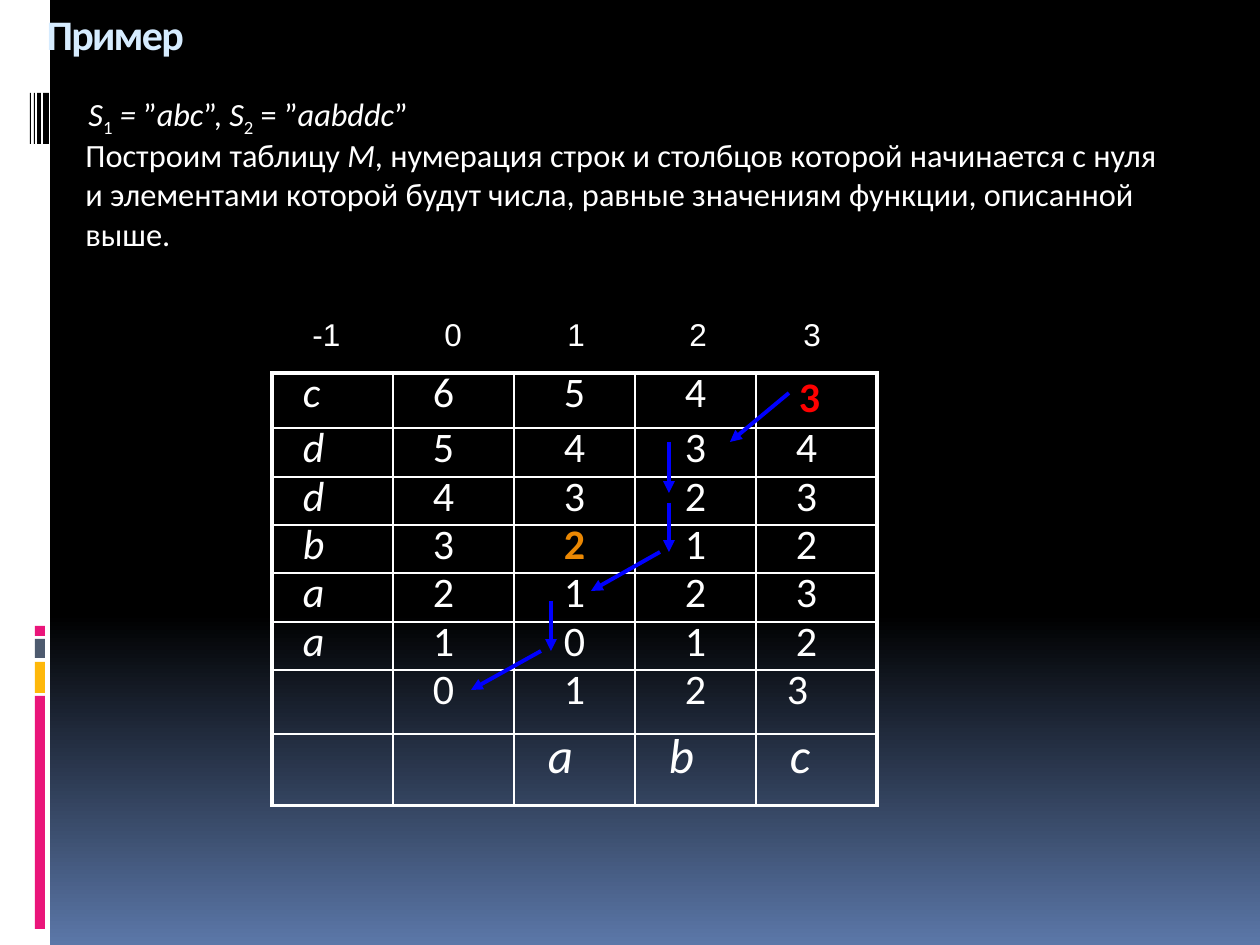
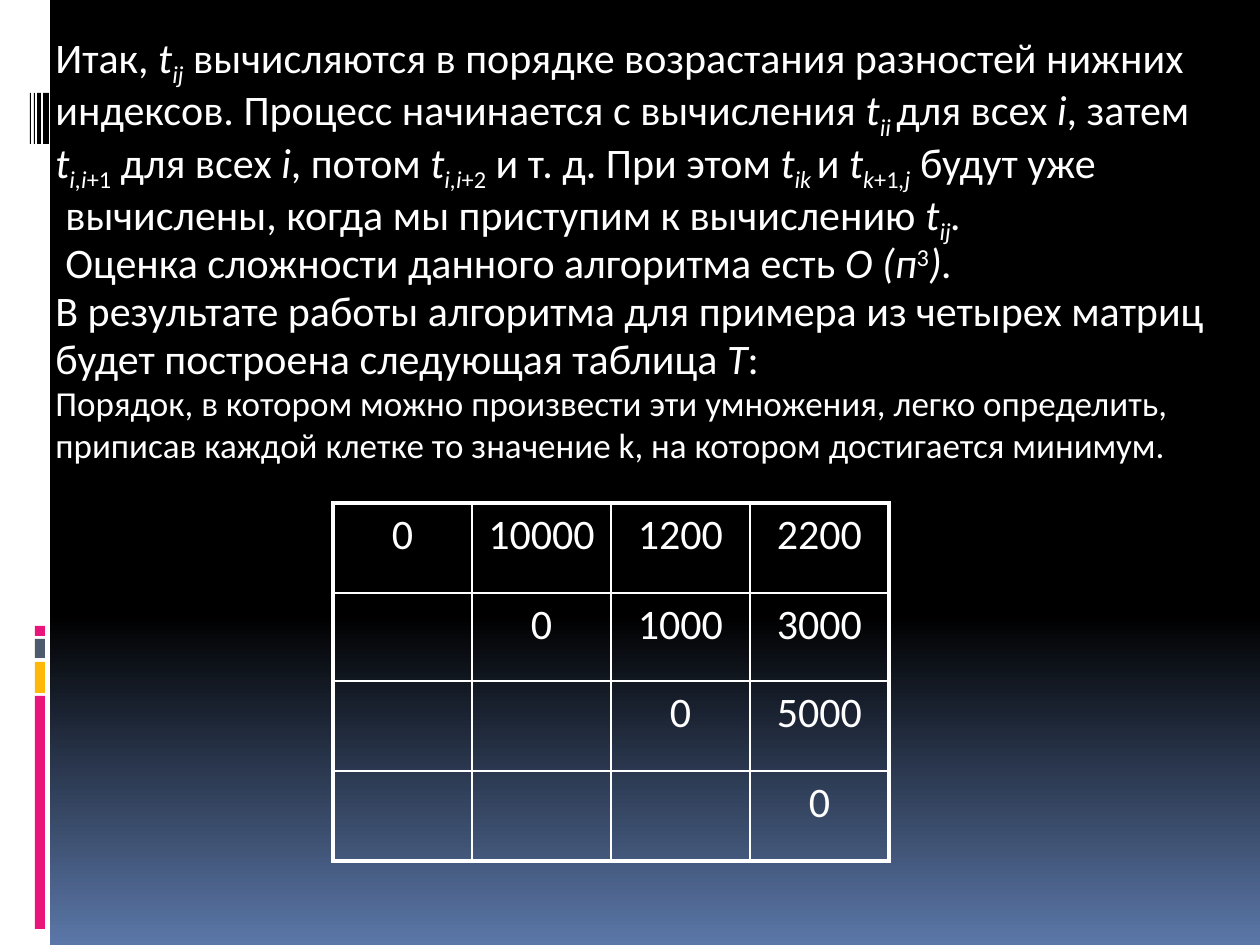
"""Build two slides on edit distance and matrix multiplication tables."""
from lxml.etree import SubElement
from pptx import Presentation
from pptx.dml.color import RGBColor
from pptx.enum.shapes import MSO_CONNECTOR, MSO_SHAPE
from pptx.enum.text import MSO_ANCHOR, MSO_AUTO_SIZE, PP_ALIGN
from pptx.oxml.ns import qn
from pptx.util import Inches, Pt

PX = 7257
COLORS = {"white": "FFFFFF", "black": "000000", "sky": "5B77A8", "pink": "EA157A",
          "amber": "FEB80A", "slate": "4E5B6F", "title": "D6ECFF", "red": "FF0000",
          "orange": "EB8803", "blue": "0000FF"}
RGB = {name: RGBColor.from_string(value) for name, value in COLORS.items()}
BASELINES = {"_": "-25000", "^": "30000"}


def add_runs(paragraph, runs, size, color="white", font="Calibri"):
    for text, style in runs:
        run = paragraph.add_run()
        run.text = text
        run.font.name = font
        run.font.size = Pt(size)
        run.font.bold = "b" in style
        run.font.italic = "i" in style
        run.font.color.rgb = RGB[color]
        for mark in style:
            if mark in BASELINES:
                run._r.get_or_add_rPr().set("baseline", BASELINES[mark])


def add_grid(slide, left, top, col_width, row_heights, col_count):
    row_count = len(row_heights)
    grid = slide.shapes.add_table(row_count, col_count, left * PX, top * PX,
                                  col_width * col_count * PX, sum(row_heights) * PX).table
    grid.first_row = grid.horz_banding = False
    for column in grid.columns:
        column.width = col_width * PX
    for row, height in zip(grid.rows, row_heights):
        row.height = height * PX
    for r in range(row_count):
        for c in range(col_count):
            cell = grid.cell(r, c)
            cell.fill.background()
            properties = cell._tc.get_or_add_tcPr()
            outer = {"lnL": c == 0, "lnR": c == col_count - 1,
                     "lnT": r == 0, "lnB": r == row_count - 1}
            for order, (side, is_outer) in enumerate(outer.items()):
                border = SubElement(properties, qn(f"a:{side}"), w=str(Pt(2.25 if is_outer else 1)))
                fill = SubElement(border, qn("a:solidFill"))
                SubElement(fill, qn("a:srgbClr"), val=COLORS["white"])
                properties.insert(order, border)
    return grid


deck = Presentation()
deck.slide_width, deck.slide_height = Inches(10), Inches(7.5)
master = deck.slide_master
backdrop = master.background.fill
backdrop.gradient()
backdrop.gradient_angle = 270
for stop, position, color in zip(backdrop.gradient_stops, (0.65, 1), ("black", "sky")):
    stop.position = position
    stop.color.rgb = RGB[color]

example = deck.slides.add_slide(deck.slide_layouts[5])
result = deck.slides.add_slide(deck.slide_layouts[6])

side_bars = [
    (0, 0, 50, 945, "white"),
    (35, 696, 10, 233, "pink"),
    (35, 662, 10, 31, "amber"),
    (35, 639, 10, 19, "slate"),
    (35, 626, 10, 10, "pink"),
    (43, 93, 6, 51, "black"),
    (37, 93, 4, 51, "black"),
    (34, 93, 1, 51, "black"),
    (30, 93, 1, 51, "black"),
]
for order, (left, top, width, height, color) in enumerate(side_bars):
    bar = example.shapes.add_shape(MSO_SHAPE.RECTANGLE, left * PX, top * PX, width * PX, height * PX)
    bar.shadow.inherit = False
    bar.fill.solid()
    bar.fill.fore_color.rgb = RGB[color]
    bar.line.fill.background()
    bar.element.nvSpPr.cNvPr.id = 20 + order
    master.shapes.element.insert(2 + order, bar.element)

heading = example.shapes.title
heading.left, heading.top, heading.width, heading.height = 34 * PX, 2 * PX, 1134 * PX, 131 * PX
heading.text_frame.auto_size = MSO_AUTO_SIZE.NONE
heading.text_frame.vertical_anchor = MSO_ANCHOR.TOP
heading_line = heading.text_frame.paragraphs[0]
heading_line.alignment = PP_ALIGN.LEFT
add_runs(heading_line, [("Пример", "b")], 24, "title")
heading_line.runs[0]._r.get_or_add_rPr().set("spc", "-100")

task_lines = [
    (3, 18.5, [("S", "i"), ("1", "_"), (" = ", "i"), ("”", ""), ("abc", "i"), ("”, ", ""),
               ("S", "i"), ("2", "_"), (" = ”", ""), ("aabddc", "i"), ("”", "")]),
    (0, 18.5, [("Построим таблицу ", ""), ("M", "i"),
               (", нумерация строк и столбцов которой начинается с нуля", "")]),
    (0, 18.5, [("и элементами которой будут числа, равные значениям функции, описанной", "")]),
    (0, 18.5, [("выше.", "")]),
]
order_lines = [
    (0, 24, [("Итак, ", ""), ("t", "i"), ("ij", "i_"),
             (" вычисляются в порядке возрастания разностей нижних", "")]),
    (0, 24, [("индексов. Процесс начинается с вычисления ", ""), ("t", "i"), ("ii ", "i_"),
             ("для всех ", ""), ("i", "i"), (", затем", "")]),
    (0, 24, [("t", "i"), ("i,i", "i_"), ("+1", "_"), (" для всех ", ""), ("i", "i"),
             (", потом ", ""), ("t", "i"), ("i,i", "i_"), ("+2", "_"),
             (" и т. д. При этом ", ""), ("t", "i"), ("ik ", "i_"), ("и ", ""), ("t", "i"),
             ("k", "i_"), ("+1", "_"), (",j", "i_"), (" будут уже", "")]),
    (10, 24, [("вычислены, когда мы приступим к вычислению ", ""), ("t", "i"), ("ij", "i_"),
              (".", "i")]),
    (10, 24, [("Оценка сложности данного алгоритма есть ", ""), ("О (п", "i"), ("3", "^"),
              (").", "i")]),
    (0, 24, [("В результате работы алгоритма для примера из четырех матриц", "")]),
    (0, 24, [("будет построена следующая таблица ", ""), ("T", "i"), (":", "")]),
    (0, 20, [("Порядок, в котором можно произвести эти умножения, легко определить,", "")]),
    (0, 20, [("приписав каждой клетке то значение k, на котором достигается минимум.", "")]),
]
for slide, left, top, height, lines in ((example, 73, 96, 199, task_lines),
                                        (result, 43, 35, 446, order_lines)):
    body = slide.shapes.add_textbox(left * PX, top * PX, 1180 * PX, height * PX).text_frame
    body.word_wrap = True
    for number, (indent, size, runs) in enumerate(lines):
        paragraph = body.add_paragraph() if number else body.paragraphs[0]
        paragraph.line_spacing = 0.7
        paragraph.space_before = Pt(7 if number else 0)
        paragraph._p.get_or_add_pPr().set("marL", str(indent * PX))
        add_runs(paragraph, runs, size)

distances = [
    ["c", "6", "5", "4", "3"],
    ["d", "5", "4", "3", "4"],
    ["d", "4", "3", "2", "3"],
    ["b", "3", "2", "1", "2"],
    ["a", "2", "1", "2", "3"],
    ["a", "1", "0", "1", "2"],
    ["", "0", "1", "2", "3"],
    ["", "", "a", "b", "c"],
]
highlights = {(0, 4): "red", (3, 2): "orange"}
left_margins = [31, 40, 50, 50, 40]
distance_grid = add_grid(example, 272, 373, 121, [55, 49, 48, 48, 49, 48, 64, 72], 5)
for r, row in enumerate(distances):
    for c, text in enumerate(row):
        if not text:
            continue
        cell = distance_grid.cell(r, c)
        is_footer = r == len(distances) - 1
        cell.margin_left = (34 if is_footer else left_margins[c]) * PX
        style = ("i" if text.isalpha() else "") + ("b" if (r, c) in highlights else "")
        line = cell.text_frame.paragraphs[0]
        line.line_spacing = 0.7
        add_runs(line, [(text, style)], 28 if is_footer else 24, highlights.get((r, c), "white"))
distance_grid.cell(0, 4).margin_left = 43 * PX
distance_grid.cell(0, 4).margin_top = 11 * PX
distance_grid.cell(6, 4).margin_left = 31 * PX

column_numbers = example.shapes.add_textbox(300 * PX, 316 * PX, 627 * PX, 43 * PX).text_frame
column_numbers.word_wrap = True
number_line = column_numbers.paragraphs[0]
number_line.line_spacing = 0.8
tab_stops = SubElement(number_line._p.get_or_add_pPr(), qn("a:tabLst"))
for position in (132, 255, 377, 491):
    SubElement(tab_stops, qn("a:tab"), pos=str(position * PX), algn="l")
add_runs(number_line, [("-1\t0\t1\t2\t3", "")], 18, font="Arial")

path_steps = [
    (789, 393, 730, 442),
    (669, 442, 669, 493),
    (669, 503, 669, 552),
    (660, 552, 591, 591),
    (551, 601, 551, 651),
    (541, 651, 471, 690),
]
for step in path_steps:
    arrow = example.shapes.add_connector(MSO_CONNECTOR.STRAIGHT, *(value * PX for value in step))
    arrow.line.color.rgb = RGB["blue"]
    arrow.line.width = Pt(2.25)
    SubElement(arrow.line._get_or_add_ln(), qn("a:tailEnd"), type="triangle")
    SubElement(arrow.element.spPr, qn("a:effectLst"))

costs = [
    ["0", "10000", "1200", "2200"],
    ["", "0", "1000", "3000"],
    ["", "", "0", "5000"],
    ["", "", "", "0"],
]
cost_grid = add_grid(result, 333, 503, 139, [90, 88, 90, 90], 4)
for r, row in enumerate(costs):
    for c, text in enumerate(row):
        if text:
            line = cost_grid.cell(r, c).text_frame.paragraphs[0]
            line.alignment = PP_ALIGN.CENTER
            add_runs(line, [(text, "")], 24)

deck.save("out.pptx")
